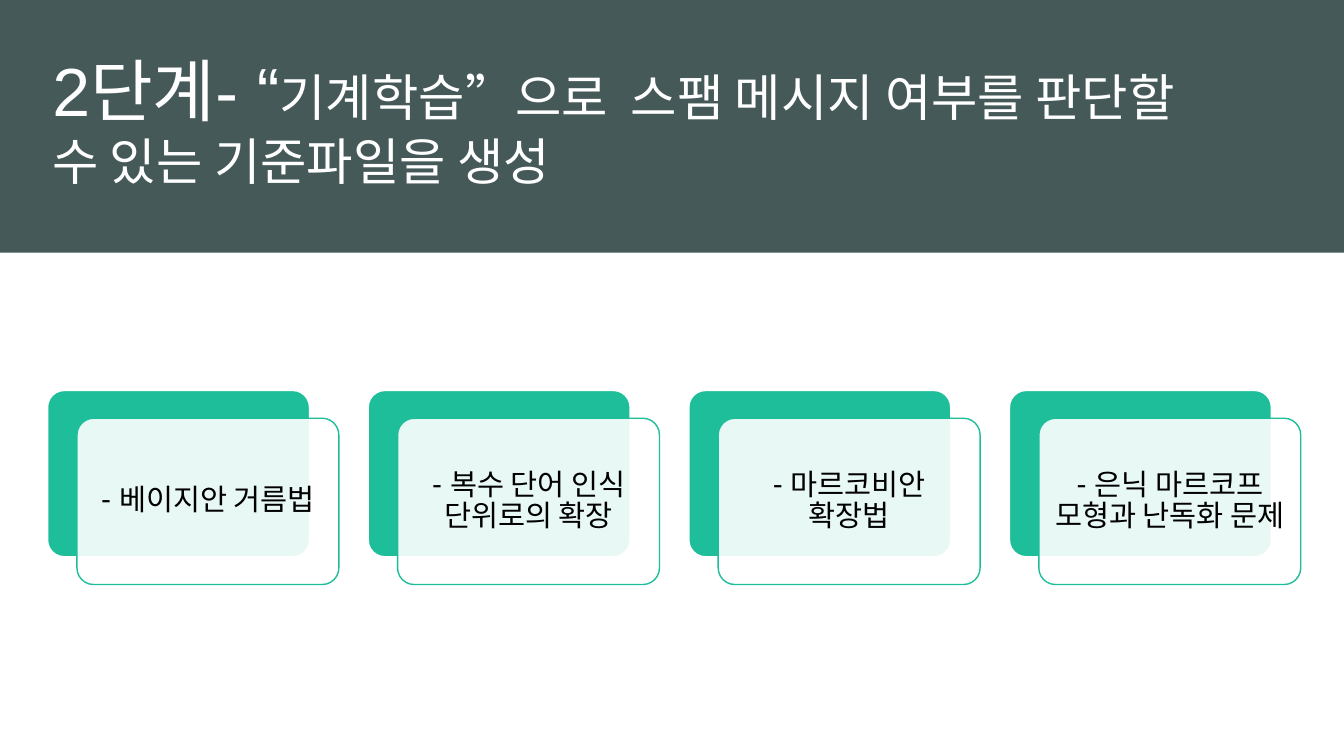
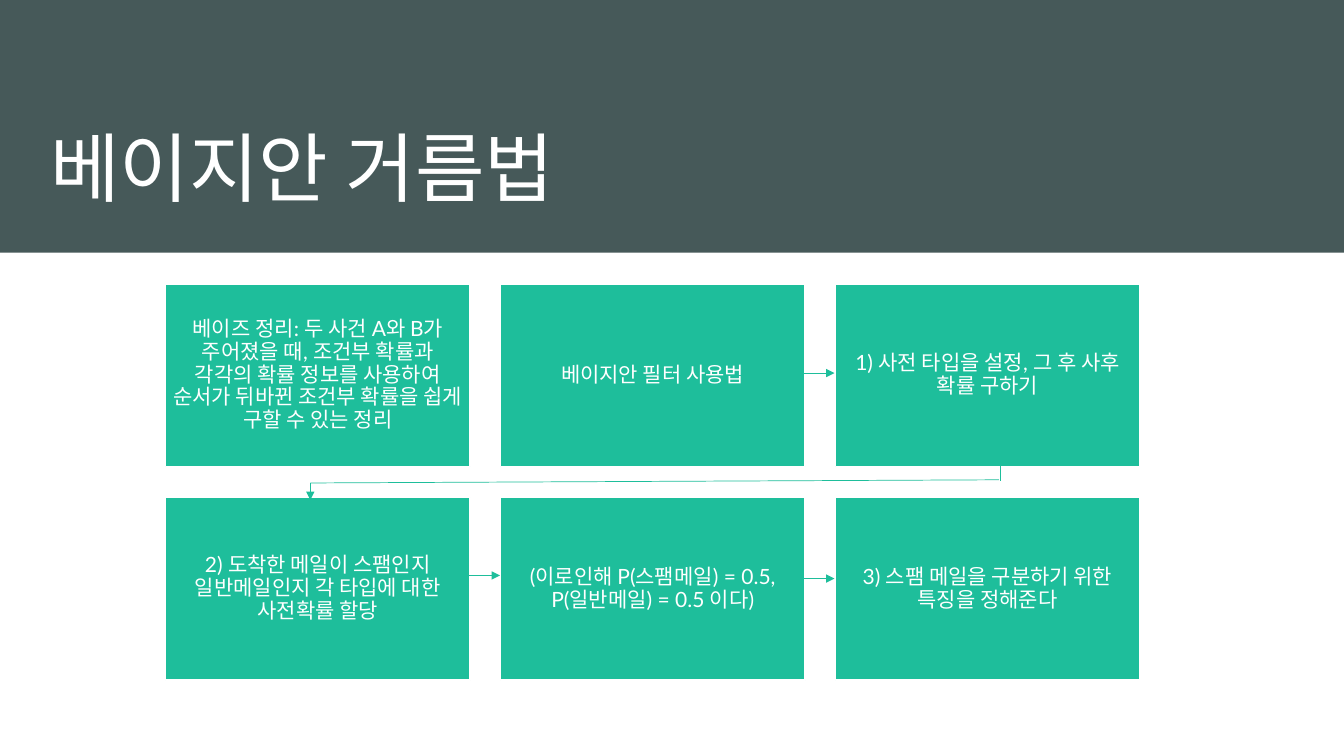
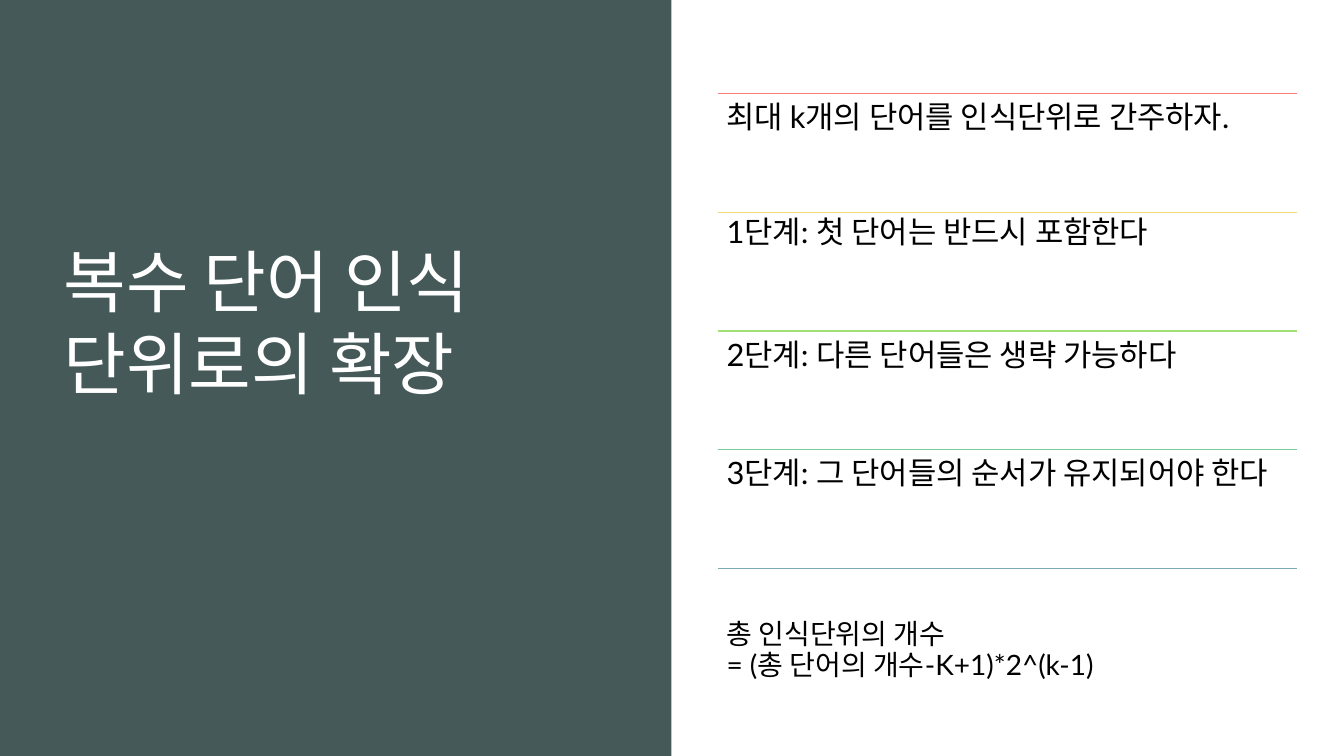
import pptx
import pptx.dml.color
import pptx.enum.shapes
import pptx.enum.text
import pptx.oxml.ns
import pptx.util
from lxml import etree
from pptx.util import Cm, Pt

DARK, TEAL, WHITE, BLACK = "465959", "1EBE9B", "FFFFFF", "000000"
HEAD, BODY = "Arial", "Lato"
SLIDE_W, SLIDE_H, BAND_H = 33.87, 19.05, 6.37
SHAPE = pptx.enum.shapes.MSO_SHAPE
ANCHOR = pptx.enum.text.MSO_ANCHOR
CENTER = pptx.enum.text.PP_ALIGN.CENTER
rgb = pptx.dml.color.RGBColor.from_string
qn = pptx.oxml.ns.qn


def add_box(s, kind, x, y, w, h, fill, line=None):
    sp = s.shapes.add_shape(kind, Cm(x), Cm(y), Cm(w), Cm(h))
    sp.shadow.inherit = False
    sp.fill.solid()
    sp.fill.fore_color.rgb = rgb(fill)
    if line:
        sp.line.color.rgb = rgb(line)
        sp.line.width = Pt(1)
    else:
        sp.line.fill.background()
    return sp


def write(sp, runs, color, anchor, inset=None, align=None, spacing=None):
    """Each run is (text, font, size); a text of "\\n" breaks the line."""
    tf = sp.text_frame
    tf.word_wrap = True
    tf.vertical_anchor = anchor
    if inset is not None:
        tf.margin_left = tf.margin_right = Cm(inset)
        tf.margin_top = tf.margin_bottom = Cm(inset)
    p = tf.paragraphs[0]
    p.alignment = align
    p.line_spacing = spacing
    for text, font, size in runs:
        if text == "\n":
            p.add_line_break()
            continue
        r = p.add_run()
        r.text = text
        r.font.name = font
        r.font.size = Pt(size)
        r.font.color.rgb = rgb(color)


prs = pptx.Presentation()
prs.slide_width, prs.slide_height = Cm(SLIDE_W), Cm(SLIDE_H)

# Dark band and title of every slide: band size, title box, anchor, runs
headers = [
    ((SLIDE_W, BAND_H), (1.07, 1.09, 30.2, 4), ANCHOR.TOP,
     [("2단계- “", HEAD, 48.6),
      ("기계학습”으로  스팸 메시지 여부를 판단할 수 있는 기준파일을 생성", HEAD, 36)]),
    ((SLIDE_W, BAND_H), (1.02, 0.76, 30.2, 4.7), ANCHOR.BOTTOM,
     [("베이지안 거름법", HEAD, 54)]),
    ((16.92, SLIDE_H), (1.35, 5.6, 14.1, 5), ANCHOR.MIDDLE,
     [("복수 단어 인식 단위로의 확장", HEAD, 48.6)]),
]
for band, title, anchor, runs in headers:
    s = prs.slides.add_slide(prs.slide_layouts[6])
    add_box(s, SHAPE.RECTANGLE, 0, 0, *band, DARK)
    write(s.shapes.add_textbox(*map(Cm, title)), runs, WHITE, anchor)
methods, bayes, multiword = prs.slides

# Slide 1: four cards, each a teal back and a translucent front
cards = ["- 베이지안 거름법", "- 복수 단어 인식 단위로의 확장",
         "- 마르코비안 확장법", "- 은닉 마르코프 모형과 난독화 문제"]
for i, text in enumerate(cards):
    x, y = 1.2 + 8.08 * i, 9.84
    back = add_box(methods, SHAPE.ROUNDED_RECTANGLE, x, y, 6.6, 4.19, TEAL, WHITE)
    front = add_box(methods, SHAPE.ROUNDED_RECTANGLE, x + 0.74, y + 0.7, 6.6, 4.19,
                    WHITE, TEAL)
    back.adjustments[0] = front.adjustments[0] = 0.1
    clr = front.fill._xPr.find(qn("a:solidFill"))[0]
    etree.SubElement(clr, qn("a:alpha"), val="90000")
    write(front, [(text, BODY, 21)], BLACK, ANCHOR.MIDDLE, 0.23, CENTER, 0.9)

# Slide 2: grid of steps, three in a row
steps = [
    "베이즈 정리: 두 사건 A와 B가 주어졌을 때, 조건부 확률과 각각의 확률 정보를 사용하여 "
    "순서가 뒤바뀐 조건부 확률을 쉽게 구할 수 있는 정리",
    "베이지안 필터 사용법",
    "1) 사전 타입을 설정, 그 후 사후 확률 구하기",
    "2) 도착한 메일이 스팸인지 일반메일인지 각 타입에 대한 사전확률 할당",
    "(이로인해 P(스팸메일) = 0.5, P(일반메일) = 0.5 이다)",
    "3) 스팸 메일을 구분하기 위한 특징을 정해준다",
]
for i, text in enumerate(steps):
    row, col = divmod(i, 3)
    sp = add_box(bayes, SHAPE.RECTANGLE, 4.17 + 8.44 * col, 7.16 + 5.38 * row,
                 7.68, 4.6, TEAL, WHITE)
    write(sp, [(text, BODY, 15)], WHITE, ANCHOR.MIDDLE, 0.15, CENTER, 0.9)

# Connectors of slide 2: slide, ends, colour, width, arrowhead
lines = [(bayes, ends, TEAL, 0.5, arrow) for ends, arrow in [
    ((19.99, 9.4, 21.03, 9.4), True),
    ((11.56, 14.5, 12.6, 14.5), True),
    ((19.99, 14.58, 21.03, 14.58), True),
    ((7.82, 12.17, 7.82, 12.6), True),
    ((7.82, 12.17, 25.17, 12.09), False),
    ((25.2, 11.46, 25.2, 12.12), False),
]]

# Slide 3: rows under coloured rules: rule colour, text offset, runs
rows = [
    ("FD7C7C", 0, [("최대 k개의 단어를 인식단위로 간주하자.", BODY, 22)]),
    ("F0D978", -0.1, [("1단계: 첫 단어는 반드시 포함한다", BODY, 22)]),
    ("9FDF76", 0, [("2단계: 다른 ", BODY, 22), ("단어들은", HEAD, 22),
                   (" 생략 가능하다", BODY, 22)]),
    ("78CC9C", 0, [("3단계: 그 단어들의 순서가 유지되어야 한다", BODY, 22)]),
    ("7DA8B5", 1.1, [("총 인식단위의 개수", BODY, 20), ("\n", BODY, 20),
                     ("= (총 단어의 개수-K+1)*2^(k-1)", BODY, 20)]),
]
for i, (color, offset, runs) in enumerate(rows):
    y = 2.36 + 2.99 * i
    lines.append((multiword, (18.09, y, 32.69, y), color, 1, False))
    tb = multiword.shapes.add_textbox(Cm(18.09), Cm(y + offset), Cm(14.6), Cm(2.99))
    write(tb, runs, BLACK, ANCHOR.TOP, 0.22, spacing=0.9)

# Draw all lines and arrows
for s, ends, color, width, arrow in lines:
    c = s.shapes.add_connector(pptx.enum.shapes.MSO_CONNECTOR.STRAIGHT, *map(Cm, ends))
    c.line.color.rgb = rgb(color)
    c.line.width = Pt(width)
    if arrow:
        etree.SubElement(c.line._get_or_add_ln(), qn("a:tailEnd"), type="triangle")
    etree.SubElement(c._element.spPr, qn("a:effectLst"))

prs.save("out.pptx")
